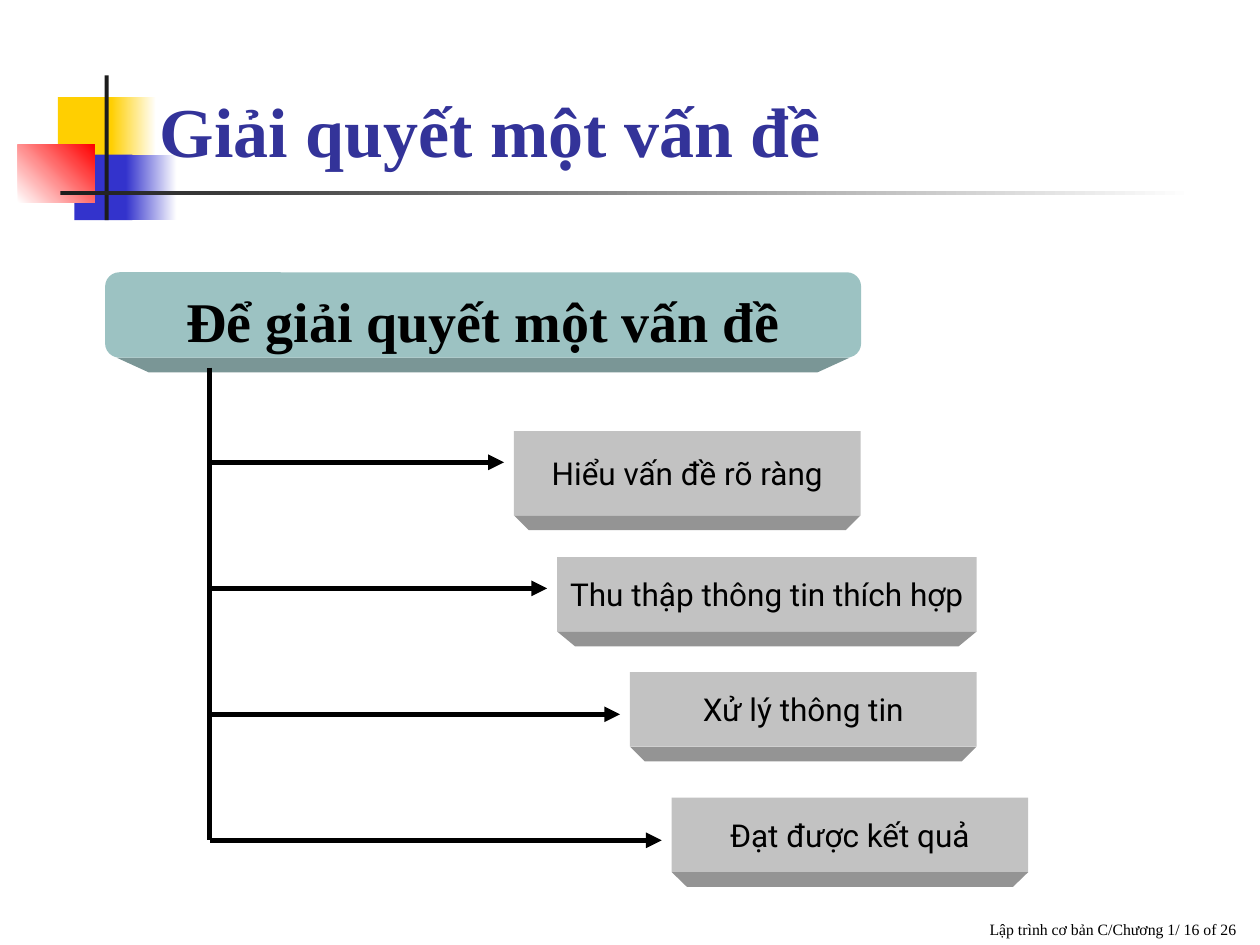
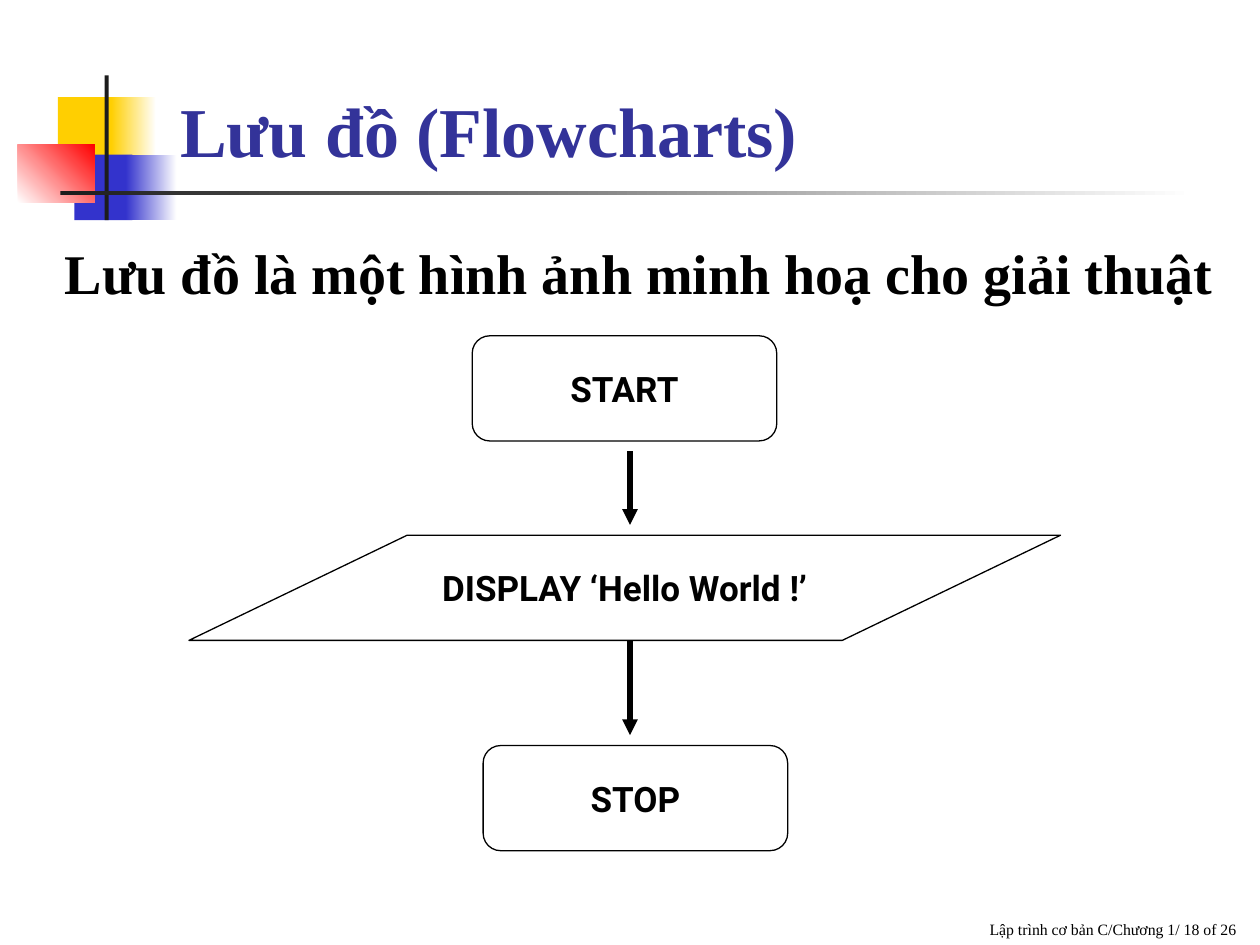
from lxml import etree
from pptx import Presentation
from pptx import util as u
from pptx.dml.color import RGBColor
from pptx.enum import shapes, text
from pptx.oxml.ns import qn

Cm, Pt = u.Cm, u.Pt
KIND = shapes.MSO_SHAPE
ALIGN, ANCHOR = text.PP_ALIGN, text.MSO_ANCHOR

BLACK = RGBColor(0x00, 0x00, 0x00)
WHITE = RGBColor(0xFF, 0xFF, 0xFF)
INK = RGBColor(0x1C, 0x1C, 0x1C)
YELLOW = RGBColor(0xFF, 0xCF, 0x01)
BLUE = RGBColor(0x33, 0x33, 0xCC)
RED = RGBColor(0xFF, 0x00, 0x00)
INDIGO = RGBColor(0x33, 0x33, 0x99)
TEAL = RGBColor(0x9C, 0xC2, 0xC2)
TEAL_SHADE = RGBColor(0x7A, 0x96, 0x96)
GREY = RGBColor(0xC2, 0xC2, 0xC2)
GREY_SHADE = RGBColor(0x94, 0x94, 0x94)

SERIF, SANS = "Times New Roman", "Roboto"
TITLE_FONT = {"name": SERIF, "size": Pt(40), "bold": True}
LEAD_FONT = {"name": SERIF, "size": Pt(32), "bold": True}
FOOTER_FONT = {"name": SERIF, "size": Pt(9), "bold": False}
STEP_FONT = {"name": SANS, "size": Pt(18), "bold": False}
FLOW_FONT = {"name": SANS, "size": Pt(20), "bold": True}
FREE_FRAME = {"word_wrap": False, "vertical_anchor": ANCHOR.MIDDLE}
LOW_FRAME = {"word_wrap": True, "vertical_anchor": ANCHOR.BOTTOM,
             "auto_size": text.MSO_AUTO_SIZE.NONE}


def write(holder, words, font, frame, align, color=BLACK):
    """Put one formatted paragraph into a shape."""
    body = holder.text_frame
    for name, value in frame.items():
        setattr(body, name, value)
    paragraph = body.paragraphs[0]
    paragraph.alignment = align
    run = paragraph.add_run()
    run.text = words
    for name, value in font.items():
        setattr(run.font, name, value)
    run.font.color.rgb = color


def paint(shape, fill, outline=None):
    """Give a shape a flat fill, no shadow and an optional thin outline."""
    shape.shadow.inherit = False
    shape.fill.solid()
    shape.fill.fore_color.rgb = fill
    if outline is None:
        shape.line.fill.background()
    else:
        shape.line.color.rgb = outline
        shape.line.width = Pt(0.75)
    return shape


deck = Presentation()
deck.slide_width, deck.slide_height = Cm(25.4), Cm(19.05)
layout = deck.slide_layouts[5]

# Title, footer
pages = []
for heading, left, top, number in (
    ("Giải quyết một vấn đề", 2.97, 1.47, 16),
    ("Lưu đồ (Flowcharts)", 3.38, 1.27, 18),
):
    page = deck.slides.add_slide(layout)
    pages.append(page)
    title = page.shapes.title
    place = {"left": Cm(left), "top": Cm(top),
             "width": Cm(24.76 - left), "height": Cm(3.59 - top)}
    for name, value in place.items():
        setattr(title, name, value)
    write(title, heading, TITLE_FONT, LOW_FRAME, ALIGN.LEFT, INDIGO)
    footer = page.shapes.add_textbox(Cm(9.73), Cm(17.78), Cm(15.44), Cm(1.27))
    write(footer, f"Lập trình cơ bản C/Chương 1/ {number} of 26",
          FOOTER_FONT, LOW_FRAME, ALIGN.RIGHT)
problem, flowchart = pages

# Corner ornament, moved to the layout behind everything else
ornament = (
    ((1.17, 1.96, 1.22, 1.32), YELLOW, None, 0),
    ((2.24, 1.96, 0.91, 1.32), YELLOW, WHITE, 0),
    ((1.5, 3.12, 1.17, 1.32), BLUE, None, 0),
    ((2.54, 3.12, 1.02, 1.32), BLUE, WHITE, 0),
    ((0.36, 2.92, 1.55, 1.17), WHITE, RED, 45),
    ((2.11, 1.52, 0.08, 2.92), INK, None, 0),
    ((1.22, 3.86, 22.86, 0.08), INK, WHITE, 0),
)
for depth, (box, start, end, angle) in enumerate(ornament):
    tile = paint(problem.shapes.add_shape(KIND.RECTANGLE, *map(Cm, box)), start)
    if end is not None:
        tile.fill.gradient()
        tile.fill.gradient_angle = angle
        for stop, position, color in zip(tile.fill.gradient_stops, (0, 1), (start, end)):
            stop.position = position
            stop.color.rgb = color
    layout.shapes.element.insert(2 + depth, tile.element)

# Slide 1: raised blocks, each with a shaded lower edge
EDGE = 0.3
steps = (
    ("Hiểu vấn đề rõ ràng", (10.36, 8.69, 6.99, 1.7)),
    ("Thu thập thông tin thích hợp", (11.23, 11.23, 8.46, 1.5)),
    ("Xử lý thông tin", (12.7, 13.55, 6.99, 1.5)),
    ("Ðạt được kết quả", (13.54, 16.08, 7.19, 1.5)),
)
goal = ("Ðể giải quyết một vấn đề", (2.12, 5.49, 15.24, 1.72))
raised = [(*goal, KIND.ROUNDED_RECTANGLE, TEAL, TEAL_SHADE, LEAD_FONT, 0.23,
           {**FREE_FRAME, "margin_top": Cm(0.33)})]
raised += [(*step, KIND.RECTANGLE, GREY, GREY_SHADE, STEP_FONT, 0, FREE_FRAME)
           for step in steps]
for words, box, kind, face, shade, font, corner, frame in raised:
    left, top, width, height = box
    right, bottom = left + width, top + height
    inset = corner + 0.043 * width
    outline = problem.shapes.build_freeform(Cm(left + corner), Cm(bottom))
    outline.add_line_segments([
        (Cm(right - corner), Cm(bottom)),
        (Cm(right - inset), Cm(bottom + EDGE)),
        (Cm(left + inset), Cm(bottom + EDGE)),
    ])
    paint(outline.convert_to_shape(), shade)
    block = paint(problem.shapes.add_shape(kind, *map(Cm, box)), face)
    write(block, words, font, frame, ALIGN.CENTER)

# Slide 2: definition and flowchart
definition = flowchart.shapes.add_textbox(Cm(1.06), Cm(4.68), Cm(24.2), Cm(1.6))
write(definition, "Lưu đồ là một hình ảnh minh hoạ cho giải thuật",
      LEAD_FONT, {"word_wrap": True}, ALIGN.LEFT)
for words, kind, box, adjustment in (
    ("START", KIND.ROUNDED_RECTANGLE, (9.52, 6.77, 6.14, 2.12), 0.167),
    ("DISPLAY ‘Hello World !’", KIND.PARALLELOGRAM, (3.81, 10.79, 17.57, 2.12), 2.075),
    ("STOP", KIND.ROUNDED_RECTANGLE, (9.74, 15.03, 6.14, 2.12), 0.167),
):
    node = paint(flowchart.shapes.add_shape(kind, *map(Cm, box)), WHITE, BLACK)
    node.adjustments[0] = adjustment
    write(node, words, FLOW_FONT, FREE_FRAME, ALIGN.CENTER)

# Trunk with one branch per step, then the flow between nodes
TRUNK, FIRST_BRANCH, BRANCH_GAP = 4.23, 9.32, 2.54
branches = [FIRST_BRANCH + BRANCH_GAP * i for i in range(len(steps))]
paths = [(problem, (TRUNK, y, box[0] - 0.2, y), True)
         for y, (_, box) in zip(branches, steps)]
paths += [
    (problem, (TRUNK, 7.41, TRUNK, branches[-1]), False),
    (flowchart, (12.7, 9.1, 12.7, 10.58), True),
    (flowchart, (12.7, 12.91, 12.7, 14.82), True),
]
for page, ends, has_head in paths:
    path = page.shapes.add_connector(shapes.MSO_CONNECTOR.STRAIGHT, *map(Cm, ends))
    path.line.color.rgb = BLACK
    path.line.width = Pt(3)
    if has_head:
        etree.SubElement(path.line._get_or_add_ln(), qn("a:tailEnd"), type="triangle")
    etree.SubElement(path.element.spPr, qn("a:effectLst"))

deck.save("out.pptx")
